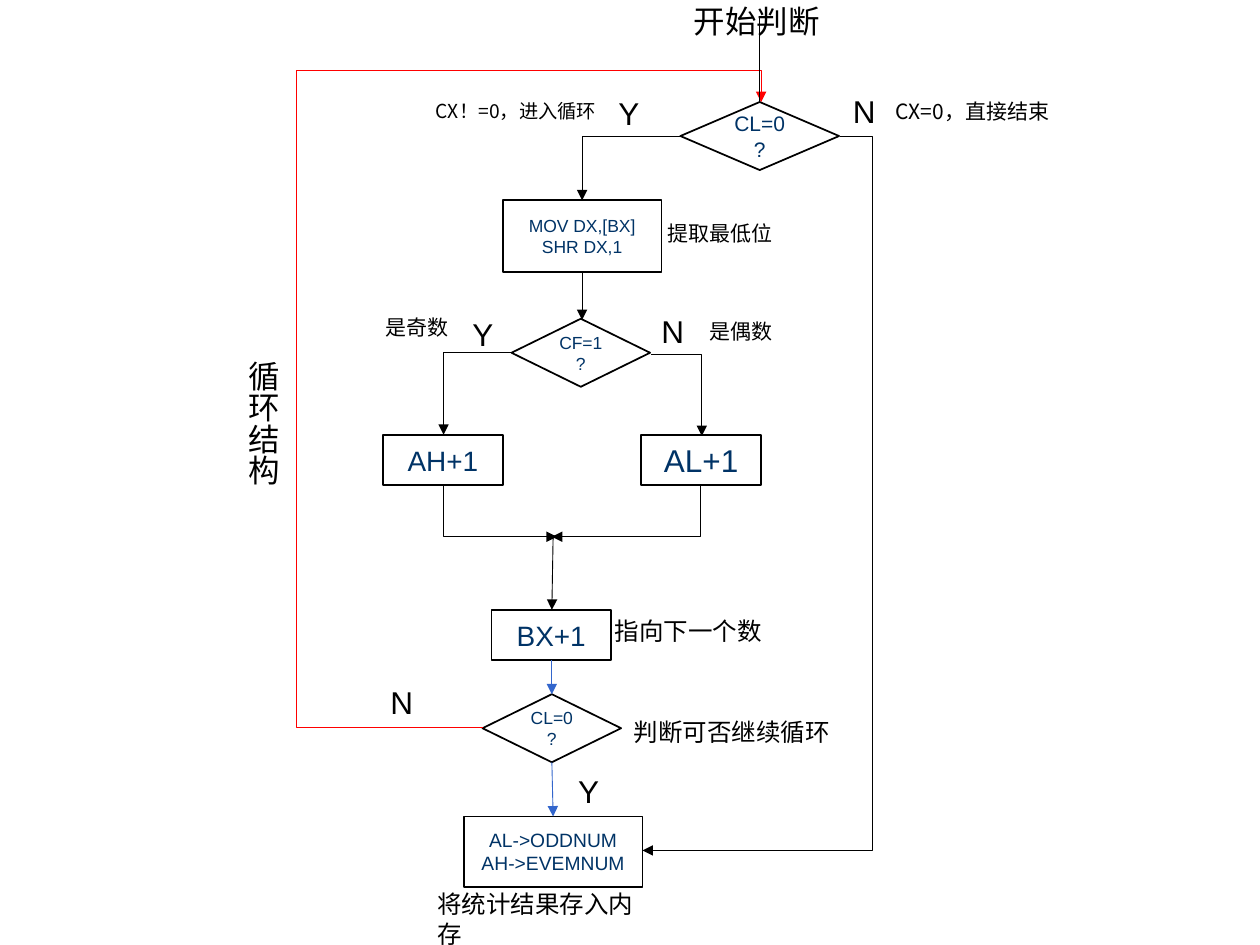
"""Build a flowchart slide that counts odd and even numbers in a loop."""
from pptx import Presentation
from pptx.dml.color import RGBColor
from pptx.enum.shapes import MSO_CONNECTOR as CONN, MSO_SHAPE as SHAPE
from pptx.enum.text import MSO_ANCHOR, MSO_AUTO_SIZE, PP_ALIGN
from pptx.oxml.ns import qn
from pptx.util import Inches, Pt
from lxml.etree import SubElement

BLACK, WHITE, RED, BLUE, NAVY = "000000", "FFFFFF", "FF0000", "3366CC", "003366"
LATIN, CJK = "Arial", "Noto Sans CJK SC"

DECISIONS = [
    ("CL=0?", 5.4, 0.81, 1.26, 12),
    ("CF=1?", 4.06, 2.53, 1.1, 10),
    ("CL=0?", 3.83, 5.51, 1.1, 10),
]
PROCESSES = [
    ("MOV DX,[BX]\nSHR DX,1", 3.99, 1.59, 1.26, 0.57, 10),
    ("AH+1", 3.04, 3.45, 0.95, 0.4, 16),
    ("AL+1", 5.09, 3.45, 0.95, 0.4, 18),
    ("BX+1", 3.9, 4.84, 0.95, 0.4, 16),
    ("AL->ODDNUM\nAH->EVEMNUM", 3.68, 6.48, 1.42, 0.56, 11),
]
ELBOWS = [
    ("bentConnector2", (4.62, 1.08, 0.78, 0.51), 180, "flipV", (), BLACK),
    ("bentConnector2", (3.52, 2.8, 0.55, 0.65), 180, "flipV", (), BLACK),
    ("bentConnector2", (5.17, 2.81, 0.4, 0.65), 0, None, (), BLACK),
    ("bentConnector2", (3.77, 3.61, 0.4, 0.9), 270, "flipH", (), BLACK),
    ("bentConnector2", (4.77, 3.47, 0.4, 1.18), 90, None, (), BLACK),
    ("bentConnector4", (3.83, 0.81, 2.21, 4.96), 180, "flipH", (-0.67, 1.05), RED),
    ("bentConnector3", (5.1, 1.08, 1.57, 5.67), 0, "flipH", (-0.16,), BLACK),
]
STRAIGHTS = [
    (4.62, 2.16, 4.62, 2.54, BLACK, True),
    (4.39, 4.26, 4.38, 4.84, BLACK, True),
    (4.38, 5.24, 4.38, 5.51, BLUE, True),
    (4.38, 6.05, 4.39, 6.48, BLUE, True),
    (6.03, 0.13, 6.03, 0.81, BLACK, False),
]
LABELS = [
    ("N", 6.67, 0.68, 0.38, 0.4, 18, LATIN),
    ("Y", 4.81, 0.7, 0.36, 0.4, 18, LATIN),
    ("N", 5.15, 2.43, 0.38, 0.4, 18, LATIN),
    ("N", 3, 5.37, 0.38, 0.4, 18, LATIN),
    ("Y", 3.65, 2.45, 0.36, 0.4, 18, LATIN),
    ("Y", 4.49, 6.08, 0.36, 0.4, 18, LATIN),
    ("提取最低位", 5.2, 1.7, 1.03, 0.3, 12, CJK),
    ("是奇数", 2.96, 2.45, 0.7, 0.3, 12, CJK),
    ("是偶数", 5.53, 2.48, 0.7, 0.3, 12, CJK),
    ("指向下一个数", 4.78, 4.84, 1.37, 0.34, 14, CJK),
    ("判断可否继续循环", 4.93, 5.64, 1.76, 0.34, 14, CJK),
    ("将统计结果存入内存", 3.37, 7.01, 1.95, 0.34, 14, CJK),
    ("CX！=0，进入循环", 3.36, 0.74, 1.59, 0.29, 11, CJK),
    ("CX=0，直接结束", 7.01, 0.73, 1.46, 0.3, 12, CJK),
    ("开始判断", 5.41, -0.03, 1.2, 0.4, 18, LATIN),
]


def rgb(color):
    """Return the colour for a hex string."""
    return RGBColor.from_string(color)


def write(tf, text, size, font, color, align):
    """Fill a text frame, one paragraph per line."""
    tf.text = text
    for p in tf.paragraphs:
        p.alignment = align
        p.font.size = Pt(size)
        p.font.name = font
        p.font.color.rgb = rgb(color)


def add_node(s, kind, text, x, y, w, h, size):
    """Add an outlined flowchart box with centred text."""
    sp = s.shapes.add_shape(kind, Inches(x), Inches(y), Inches(w), Inches(h))
    sp.shadow.inherit = False
    sp.fill.solid()
    sp.fill.fore_color.rgb = rgb(WHITE)
    sp.line.color.rgb = rgb(BLACK)
    sp.line.width = Pt(1)
    sp.text_frame.word_wrap = True
    sp.text_frame.vertical_anchor = MSO_ANCHOR.MIDDLE
    write(sp.text_frame, text, size, LATIN, NAVY, PP_ALIGN.CENTER)


def add_line(s, kind, x1, y1, x2, y2, color, arrow=True):
    """Add a thin connector, with an arrowhead at its end if wanted."""
    c = s.shapes.add_connector(kind, Inches(x1), Inches(y1), Inches(x2), Inches(y2))
    c.line.color.rgb = rgb(color)
    c.line.width = Pt(0.5)
    if arrow:
        SubElement(c.line._get_or_add_ln(), qn("a:tailEnd"), type="triangle")
    SubElement(c._element.spPr, qn("a:effectLst"))
    return c


def add_elbow(s, preset, box, angle, flip, adjusts, color):
    """Add a bent arrow given its unrotated box, rotation and flip."""
    x, y, w, h = box
    c = add_line(s, CONN.ELBOW, x, y, x + w, y + h, color)
    xfrm = c._element.spPr.find(qn("a:xfrm"))
    xfrm.set("rot", str(angle * 60000))
    if flip:
        xfrm.set(flip, "1")
    geom = c._element.spPr.find(qn("a:prstGeom"))
    geom.set("prst", preset)
    for i, value in enumerate(adjusts, 1):
        SubElement(geom.find(qn("a:avLst")), qn("a:gd"),
                   name=f"adj{i}", fmla=f"val {round(value * 100000)}")


def add_label(s, text, x, y, w, h, size, font, vertical=False):
    """Add a free label, optionally set in vertical East Asian text."""
    tf = s.shapes.add_textbox(Inches(x), Inches(y), Inches(w), Inches(h)).text_frame
    tf.word_wrap = vertical
    tf.auto_size = MSO_AUTO_SIZE.SHAPE_TO_FIT_TEXT
    if vertical:
        tf._txBody.bodyPr.set("vert", "eaVert")
        tf.margin_left = tf.margin_right = Inches(0.05)
        tf.margin_top = tf.margin_bottom = Inches(0.1)
    write(tf, text, size, font, BLACK, PP_ALIGN.LEFT)


def main():
    """Build and save the slide."""
    prs = Presentation()
    prs.slide_width, prs.slide_height = Inches(10), Inches(7.5)
    s = prs.slides.add_slide(prs.slide_layouts[6])
    for text, x, y, w, size in DECISIONS:
        add_node(s, SHAPE.FLOWCHART_DECISION, text, x, y, w, 0.54, size)
    for process in PROCESSES:
        add_node(s, SHAPE.FLOWCHART_PROCESS, *process)
    for elbow in ELBOWS:
        add_elbow(s, *elbow)
    for straight in STRAIGHTS:
        add_line(s, CONN.STRAIGHT, *straight)
    for label in LABELS:
        add_label(s, *label)
    add_label(s, "循环结构", 1.79, 2.76, 0.5, 2.19, 18, LATIN, vertical=True)
    prs.save("out.pptx")


if __name__ == "__main__":
    main()
